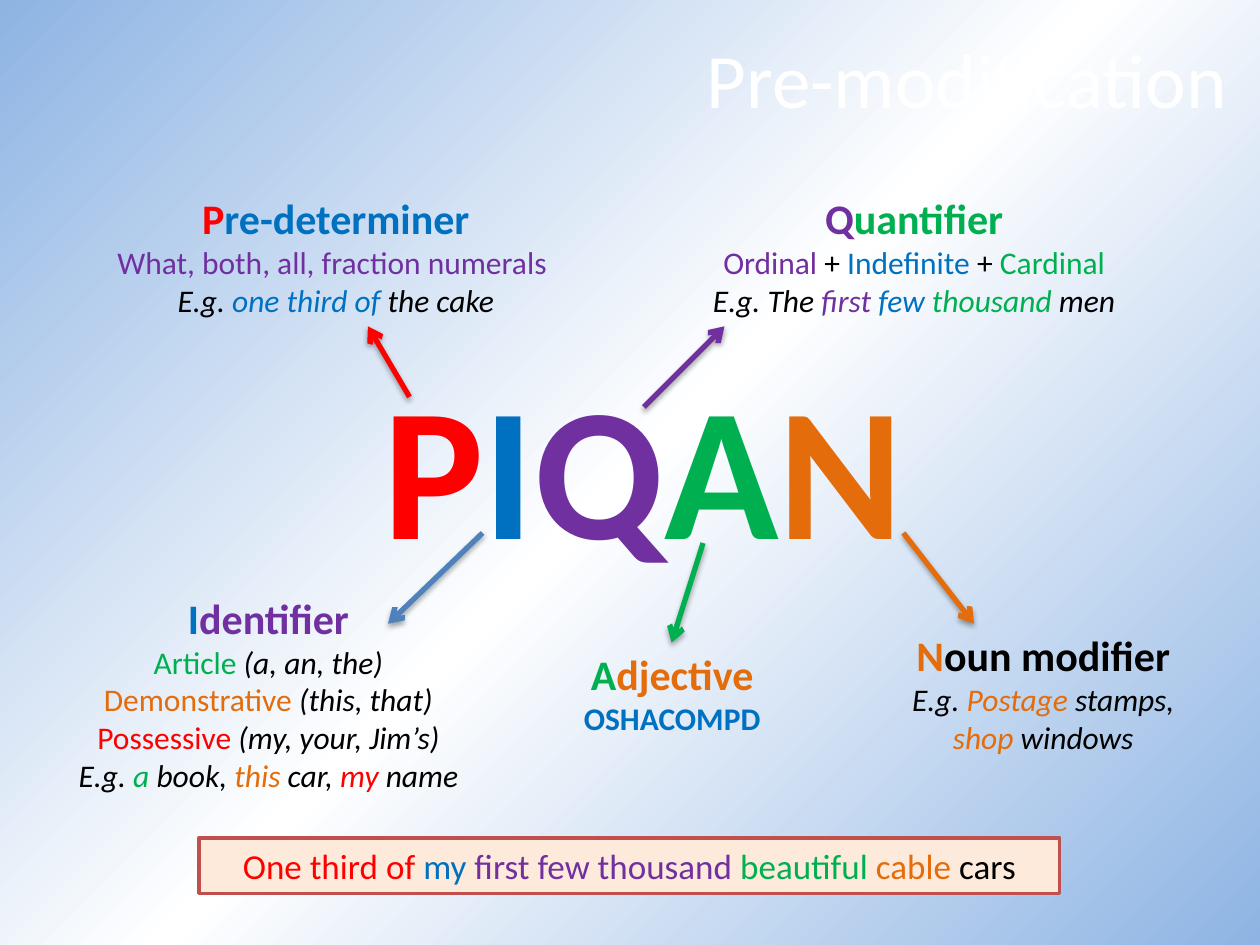
from dataclasses import dataclass

from pptx import Presentation
from pptx.dml.color import RGBColor
from pptx.enum.shapes import MSO_CONNECTOR, MSO_SHAPE
from pptx.enum.text import MSO_ANCHOR, PP_ALIGN
from pptx.oxml import parse_xml
from pptx.oxml.ns import nsdecls
from pptx.slide import Slide
from pptx.text.text import TextFrame
from pptx.util import Inches, Pt

STRAIGHT = MSO_CONNECTOR.STRAIGHT
RECTANGLE = MSO_SHAPE.RECTANGLE
MIDDLE = MSO_ANCHOR.MIDDLE
CENTER = PP_ALIGN.CENTER
RIGHT = PP_ALIGN.RIGHT

FONT = "Calibri"
RED = RGBColor(0xFF, 0x00, 0x00)
BLUE = RGBColor(0x00, 0x70, 0xC0)
PURPLE = RGBColor(0x70, 0x30, 0xA0)
GREEN = RGBColor(0x00, 0xB0, 0x50)
ORANGE = RGBColor(0xE4, 0x6C, 0x0A)
BLACK = RGBColor(0x00, 0x00, 0x00)
WHITE = RGBColor(0xFF, 0xFF, 0xFF)
STEEL = RGBColor(0x4F, 0x81, 0xBD)
CREAM = RGBColor(0xFD, 0xEA, 0xDA)
BRICK = RGBColor(0xC0, 0x50, 0x4D)

BACKGROUND = f"""<p:bg {nsdecls("p", "a")}><p:bgPr><a:gradFill rotWithShape="1"><a:gsLst>
<a:gs pos="0"><a:srgbClr val="8EB4E3"/></a:gs>
<a:gs pos="50000"><a:srgbClr val="FFFFFF"/></a:gs>
<a:gs pos="100000"><a:srgbClr val="8EB4E3"/></a:gs></a:gsLst>
<a:path path="circle"><a:fillToRect l="100000" t="100000"/></a:path>
<a:tileRect r="-100000" b="-100000"/></a:gradFill><a:effectLst/></p:bgPr></p:bg>"""
ARROWHEAD = f'<a:tailEnd {nsdecls("a")} type="arrow"/>'
SHADOW = f"""<a:effectLst {nsdecls("a")}><a:outerShdw blurRad="40000" dist="23000" dir="5400000"
rotWithShape="0"><a:srgbClr val="000000"><a:alpha val="35000"/></a:srgbClr></a:outerShdw></a:effectLst>"""


@dataclass
class Span:
    text: str
    color: RGBColor
    italic: bool = False


@dataclass
class Line:
    spans: list[Span]
    size: int = 18
    bold: bool = False


@dataclass
class TextBlock:
    left: float
    top: float
    width: float
    height: float
    lines: list[Line]


@dataclass
class Arrow:
    start: tuple[float, float]
    end: tuple[float, float]
    color: RGBColor


def heading(initial: str, rest: str, initial_color: RGBColor, rest_color: RGBColor) -> Line:
    return Line([Span(initial, initial_color), Span(rest, rest_color)], 24, True)


def example(*parts: tuple[str, RGBColor]) -> Line:
    return Line([Span(text, color, True) for text, color in parts])


def kind(name: str, color: RGBColor, members: str) -> Line:
    return Line([Span(name, color), Span(members, BLACK, True)])


TITLE = TextBlock(0.17, 0.08, 9.67, 1.08, [Line([Span("Pre-modification", WHITE)], 44)])
ACRONYM = zip("PIQAN", (RED, BLUE, PURPLE, GREEN, ORANGE))
BLOCKS = [
    TextBlock(2.83, 2.73, 4.55, 1.92, [
        Line([Span(letter, color) for letter, color in ACRONYM], 108, True)]),
    TextBlock(0.5, 1.48, 4.33, 1.11, [
        heading("P", "re-determiner", RED, BLUE),
        Line([Span("What, both, all, fraction numerals ", PURPLE)]),
        example(("E.g. ", BLACK), ("one third of ", BLUE), ("the cake", BLACK))]),
    TextBlock(0.42, 4.65, 3.42, 1.72, [
        heading("I", "dentifier", BLUE, PURPLE),
        kind("Article ", GREEN, "(a, an, the)"),
        kind("Demonstrative ", ORANGE, "(this, that)"),
        kind("Possessive ", RED, "(my, your, Jim’s)"),
        example(("E.g. ", BLACK), ("a ", GREEN), ("book, ", BLACK), ("this", ORANGE),
                (" car, ", BLACK), ("my", RED), (" name", BLACK))]),
    TextBlock(5.42, 1.48, 3.67, 1.11, [
        heading("Q", "uantifier", PURPLE, GREEN),
        Line([Span("Ordinal", PURPLE), Span(" + ", BLACK), Span("Indefinite", BLUE),
              Span(" + ", BLACK), Span("Cardinal", GREEN)]),
        example(("E.g. The ", BLACK), ("first ", PURPLE), ("few ", BLUE),
                ("thousand", GREEN), (" men", BLACK))]),
    TextBlock(4, 5.1, 2.67, 0.81, [
        heading("A", "djective", GREEN, ORANGE),
        Line([Span("OSHACOMPD", BLUE)], bold=True)]),
    TextBlock(6.9, 4.95, 2.76, 1.11, [
        heading("N", "oun modifier", ORANGE, BLACK),
        example(("E.g. ", BLACK), ("Postage", ORANGE), (" stamps, ", BLACK),
                ("shop", ORANGE), (" windows", BLACK))]),
]
ARROWS = [
    Arrow((3.25, 3.15), (2.92, 2.59), RED),
    Arrow((3.83, 4.23), (3.08, 4.95), STEEL),
    Arrow((5.11, 3.23), (5.75, 2.59), PURPLE),
    Arrow((5.58, 4.31), (5.33, 5.1), GREEN),
    Arrow((7.17, 4.23), (7.73, 4.95), ORANGE),
]
SENTENCE = TextBlock(1.58, 6.65, 6.83, 0.44, [
    Line([Span("One third of ", RED), Span("my ", BLUE), Span("first few thousand ", PURPLE),
          Span("beautiful ", GREEN), Span("cable ", ORANGE), Span("cars", BLACK)], 20)])


def bounds(block: TextBlock) -> tuple[Inches, Inches, Inches, Inches]:
    return Inches(block.left), Inches(block.top), Inches(block.width), Inches(block.height)


def write_lines(text_frame: TextFrame, lines: list[Line], alignment: PP_ALIGN) -> None:
    text_frame.word_wrap = True
    for index, line in enumerate(lines):
        paragraph = text_frame.add_paragraph() if index else text_frame.paragraphs[0]
        paragraph.alignment = alignment
        for span in line.spans:
            run = paragraph.add_run()
            run.text = span.text
            run.font.name = FONT
            run.font.size = Pt(line.size)
            run.font.bold = line.bold
            run.font.italic = span.italic
            run.font.color.rgb = span.color


def add_text(slide: Slide, block: TextBlock, alignment: PP_ALIGN = CENTER) -> TextFrame:
    text_frame = slide.shapes.add_textbox(*bounds(block)).text_frame
    write_lines(text_frame, block.lines, alignment)
    return text_frame


def add_arrow(slide: Slide, arrow: Arrow) -> None:
    points = [Inches(value) for value in arrow.start + arrow.end]
    connector = slide.shapes.add_connector(STRAIGHT, *points)
    connector.line.color.rgb = arrow.color
    connector.line.width = Pt(3)
    connector.line._get_or_add_ln().append(parse_xml(ARROWHEAD))
    connector._element.spPr.append(parse_xml(SHADOW))


def add_sentence(slide: Slide, block: TextBlock) -> None:
    shape = slide.shapes.add_shape(RECTANGLE, *bounds(block))
    shape.shadow.inherit = False
    shape.fill.solid()
    shape.fill.fore_color.rgb = CREAM
    shape.line.color.rgb = BRICK
    shape.line.width = Pt(2)
    shape.text_frame.vertical_anchor = MIDDLE
    write_lines(shape.text_frame, block.lines, CENTER)


def main() -> None:
    presentation = Presentation()
    presentation.slide_width = Inches(10)
    presentation.slide_height = Inches(7.5)
    slide = presentation.slides.add_slide(presentation.slide_layouts[6])
    slide.element.cSld.insert(0, parse_xml(BACKGROUND))

    add_text(slide, TITLE, RIGHT).vertical_anchor = MIDDLE
    for block in BLOCKS:
        add_text(slide, block)
    for arrow in ARROWS:
        add_arrow(slide, arrow)
    add_sentence(slide, SENTENCE)
    presentation.save("out.pptx")


if __name__ == "__main__":
    main()
